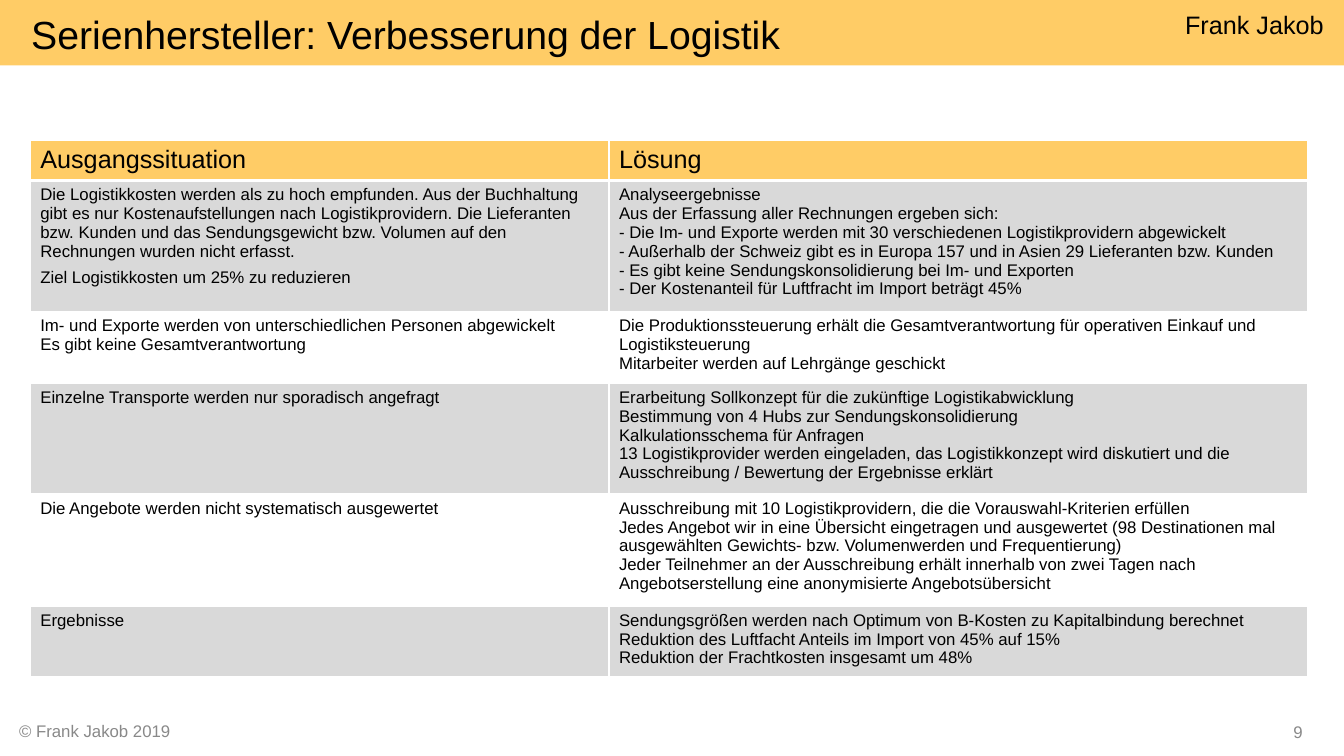
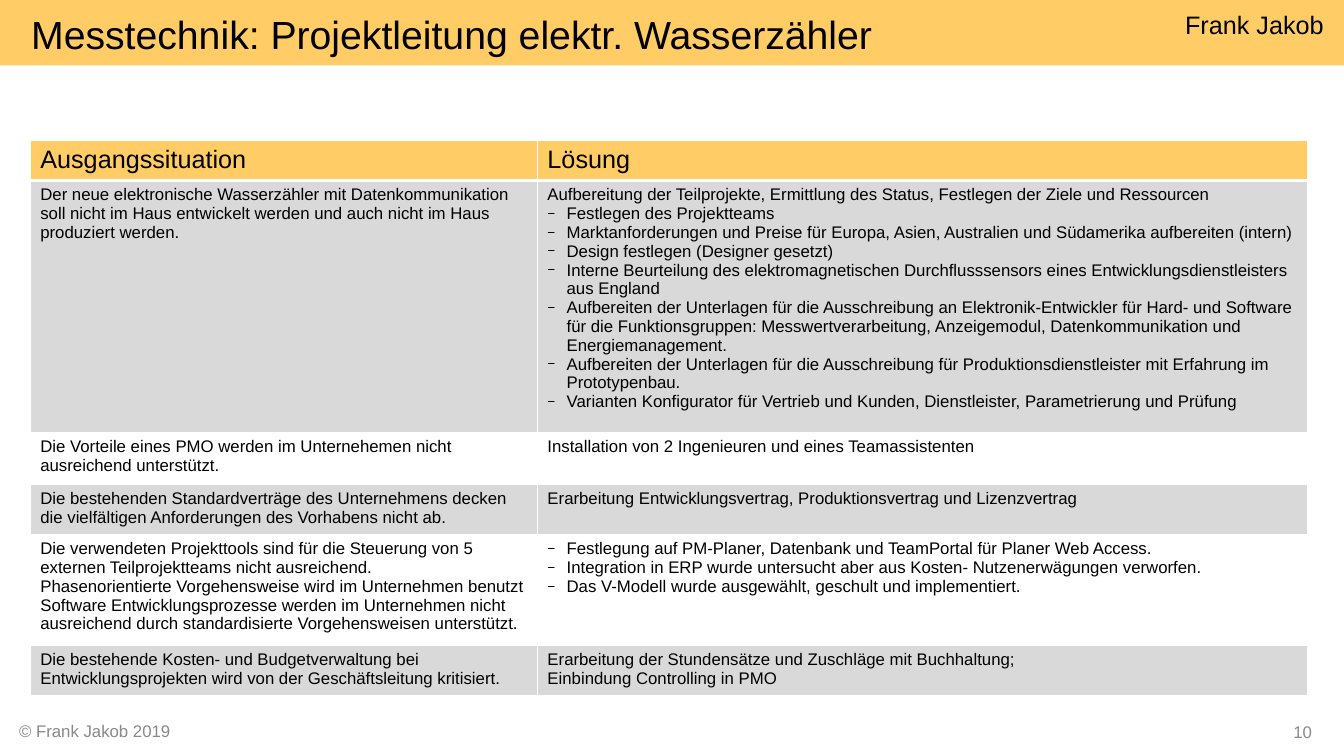
"""Build two project slides, each comparing the initial situation with the solution."""
from lxml.etree import SubElement
from pptx import Presentation
from pptx.dml.color import RGBColor
from pptx.enum.shapes import MSO_SHAPE
from pptx.enum.text import MSO_ANCHOR, PP_ALIGN
from pptx.oxml.ns import qn
from pptx.util import Inches, Pt

AMBER, GREY, WHITE = "FFCC66", "D9D9D9", "FFFFFF"
BLACK, FOOTER_GREY = "000000", "898989"
BULLET = "− "
HEADINGS = ("Ausgangssituation", "Lösung")

PROJECTS = [
    {
        "title": "Serienhersteller: Verbesserung der Logistik",
        "page": "9",
        "columns": (5.74, 6.93),
        "heights": (0.4, 1.29, 0.71, 1.09, 1.11, 0.69),
        "rows": [
            (
                """Die Logistikkosten werden als zu hoch empfunden. Aus der Buchhaltung gibt es nur Kostenaufstellungen nach Logistikprovidern. Die Lieferanten bzw. Kunden und das Sendungsgewicht bzw. Volumen auf den Rechnungen wurden nicht erfasst.
Ziel Logistikkosten um 25% zu reduzieren""",
                """Analyseergebnisse
Aus der Erfassung aller Rechnungen ergeben sich:
- Die Im- und Exporte werden mit 30 verschiedenen Logistikprovidern abgewickelt
- Außerhalb der Schweiz gibt es in Europa 157 und in Asien 29 Lieferanten bzw. Kunden
- Es gibt keine Sendungskonsolidierung bei Im- und Exporten
- Der Kostenanteil für Luftfracht im Import beträgt 45%""",
            ),
            (
                """Im- und Exporte werden von unterschiedlichen Personen abgewickelt
Es gibt keine Gesamtverantwortung""",
                """Die Produktionssteuerung erhält die Gesamtverantwortung für operativen Einkauf und Logistiksteuerung
Mitarbeiter werden auf Lehrgänge geschickt""",
            ),
            (
                "Einzelne Transporte werden nur sporadisch angefragt",
                """Erarbeitung Sollkonzept für die zukünftige Logistikabwicklung
Bestimmung von 4 Hubs zur Sendungskonsolidierung
Kalkulationsschema für Anfragen
13 Logistikprovider werden eingeladen, das Logistikkonzept wird diskutiert und die Ausschreibung / Bewertung der Ergebnisse erklärt""",
            ),
            (
                "Die Angebote werden nicht systematisch ausgewertet",
                """Ausschreibung mit 10 Logistikprovidern, die die Vorauswahl-Kriterien erfüllen
Jedes Angebot wir in eine Übersicht eingetragen und ausgewertet (98 Destinationen mal ausgewählten Gewichts- bzw. Volumenwerden und Frequentierung)
Jeder Teilnehmer an der Ausschreibung erhält innerhalb von zwei Tagen nach Angebotserstellung eine anonymisierte Angebotsübersicht""",
            ),
            (
                "Ergebnisse",
                """Sendungsgrößen werden nach Optimum von B-Kosten zu Kapitalbindung berechnet
Reduktion des Luftfacht Anteils im Import von 45% auf 15%
Reduktion der Frachtkosten insgesamt um 48%""",
            ),
        ],
    },
    {
        "title": "Messtechnik: Projektleitung elektr. Wasserzähler",
        "page": "10",
        "columns": (5.03, 7.64),
        "heights": (0.4, 2.49, 0.51, 0.49, 1.1, 0.49),
        "rows": [
            (
                "Der neue elektronische Wasserzähler mit Datenkommunikation soll nicht im Haus entwickelt werden und auch nicht im Haus produziert werden.",
                """Aufbereitung der Teilprojekte, Ermittlung des Status, Festlegen der Ziele und Ressourcen
− Festlegen des Projektteams
− Marktanforderungen und Preise für Europa, Asien, Australien und Südamerika aufbereiten (intern)
− Design festlegen (Designer gesetzt)
− Interne Beurteilung des elektromagnetischen Durchflusssensors eines Entwicklungsdienstleisters aus England
− Aufbereiten der Unterlagen für die Ausschreibung an Elektronik-Entwickler für Hard- und Software für die Funktionsgruppen: Messwertverarbeitung, Anzeigemodul, Datenkommunikation und Energiemanagement.
− Aufbereiten der Unterlagen für die Ausschreibung für Produktionsdienstleister mit Erfahrung im Prototypenbau.
− Varianten Konfigurator für Vertrieb und Kunden, Dienstleister, Parametrierung und Prüfung""",
            ),
            (
                "Die Vorteile eines PMO werden im Unternehemen nicht ausreichend unterstützt.",
                "Installation von 2 Ingenieuren und eines Teamassistenten",
            ),
            (
                "Die bestehenden Standardverträge des Unternehmens decken die vielfältigen Anforderungen des Vorhabens nicht ab.",
                "Erarbeitung Entwicklungsvertrag, Produktionsvertrag und Lizenzvertrag",
            ),
            (
                """Die verwendeten Projekttools sind für die Steuerung von 5 externen Teilprojektteams nicht ausreichend.
Phasenorientierte Vorgehensweise wird im Unternehmen benutzt Software Entwicklungsprozesse werden im Unternehmen nicht ausreichend durch standardisierte Vorgehensweisen unterstützt.""",
                """− Festlegung auf PM-Planer, Datenbank und TeamPortal für Planer Web Access.
− Integration in ERP wurde untersucht aber aus Kosten- Nutzenerwägungen verworfen.
− Das V-Modell wurde ausgewählt, geschult und implementiert.""",
            ),
            (
                "Die bestehende Kosten- und Budgetverwaltung bei Entwicklungsprojekten wird von der Geschäftsleitung kritisiert.",
                """Erarbeitung der Stundensätze und Zuschläge mit Buchhaltung;
Einbindung Controlling in PMO""",
            ),
        ],
    },
]


def paint(fill, color):
    """Give a fill one solid colour."""
    fill.solid()
    fill.fore_color.rgb = RGBColor.from_string(color)


def write(frame, text, size, color=BLACK, gap=0):
    """Write one paragraph per line, turning marked lines into bullets."""
    for number, line in enumerate(text.split("\n")):
        paragraph = frame.add_paragraph() if number else frame.paragraphs[0]
        paragraph.text = line.removeprefix(BULLET)
        paragraph.space_after = Pt(gap)
        if line.startswith(BULLET):
            properties = paragraph._p.get_or_add_pPr()
            properties.set("marL", str(Inches(0.19)))
            properties.set("indent", str(Inches(-0.19)))
            bullet_color = SubElement(properties, qn("a:buClr"))
            SubElement(bullet_color, qn("a:srgbClr"), val=color)
            SubElement(properties, qn("a:buSzPct"), val="80000")
            SubElement(properties, qn("a:buFont"), typeface="Arial")
            SubElement(properties, qn("a:buChar"), char=BULLET.strip())
        paragraph.font.name = "Arial"
        paragraph.font.size = Pt(size)
        paragraph.font.bold = False
        paint(paragraph.font.fill, color)


presentation = Presentation()
presentation.slide_width = Inches(13.33)
presentation.slide_height = Inches(7.5)

for project in PROJECTS:
    slide = presentation.slides.add_slide(presentation.slide_layouts[6])

    band = slide.shapes.add_shape(
        MSO_SHAPE.RECTANGLE, 0, Inches(-0.03), Inches(13.33), Inches(0.68))
    band.shadow.inherit = False
    paint(band.fill, AMBER)
    band.line.fill.background()
    frame = band.text_frame
    frame.vertical_anchor = MSO_ANCHOR.TOP
    frame.margin_left = frame.margin_bottom = 0
    frame.margin_top, frame.margin_right = Inches(0.12), Inches(0.2)
    write(frame, "Frank Jakob", 18)
    frame.paragraphs[0].alignment = PP_ALIGN.RIGHT

    title = slide.shapes.add_textbox(Inches(0.31), 0, Inches(9.5), Inches(0.68))
    frame = title.text_frame
    frame.word_wrap = True
    frame.vertical_anchor = MSO_ANCHOR.MIDDLE
    frame.margin_left = frame.margin_right = 0
    frame.margin_top = frame.margin_bottom = 0
    write(frame, project["title"], 28)

    footers = [("© Frank Jakob 2019", 0.09, 7.1, 1.72), (project["page"], 12.73, 7.11, 0.53)]
    for text, left, top, width in footers:
        footer = slide.shapes.add_textbox(
            Inches(left), Inches(top), Inches(width), Inches(0.3))
        write(footer.text_frame, text, 12, FOOTER_GREY)

    rows = [HEADINGS, *project["rows"]]
    table = slide.shapes.add_table(
        len(rows), len(HEADINGS), Inches(0.3), Inches(1.39),
        Inches(sum(project["columns"])), Inches(sum(project["heights"]))).table
    table.first_row = table.horz_banding = False
    for column, width in zip(table.columns, project["columns"]):
        column.width = Inches(width)
    for row_index, (texts, height) in enumerate(zip(rows, project["heights"])):
        table.rows[row_index].height = Inches(height)
        for column_index, text in enumerate(texts):
            cell = table.cell(row_index, column_index)
            heading = row_index == 0
            gap = 5 if (row_index, column_index) == (1, 0) else 0
            write(cell.text_frame, text, 18 if heading else 12, gap=gap)
            properties = cell._tc.get_or_add_tcPr()
            for side in "LRTB":
                thick = (row_index, side) in ((0, "B"), (1, "T"))
                border = SubElement(
                    properties, qn(f"a:ln{side}"), w=str(Pt(3 if thick else 1)))
                fill = SubElement(border, qn("a:solidFill"))
                SubElement(fill, qn("a:srgbClr"), val=WHITE)
            paint(cell.fill, AMBER if heading else GREY if row_index % 2 else WHITE)

presentation.save("out.pptx")
